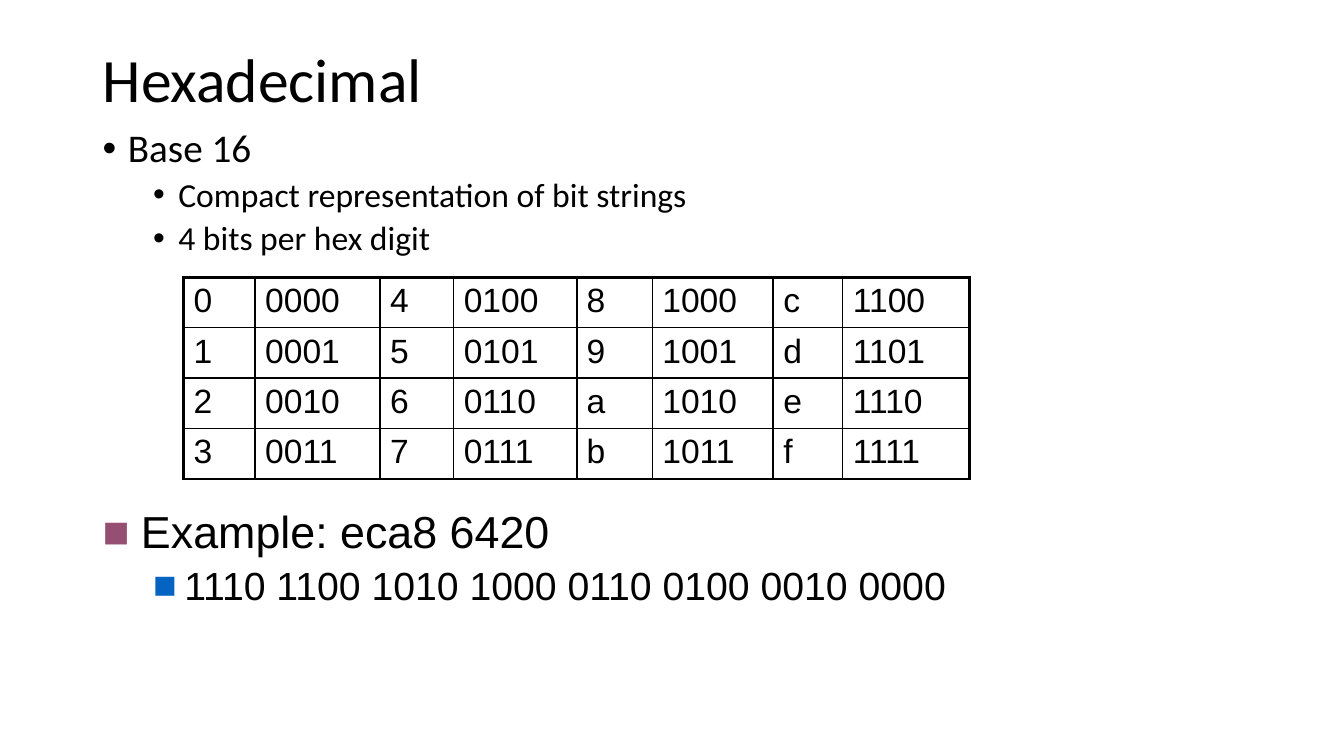
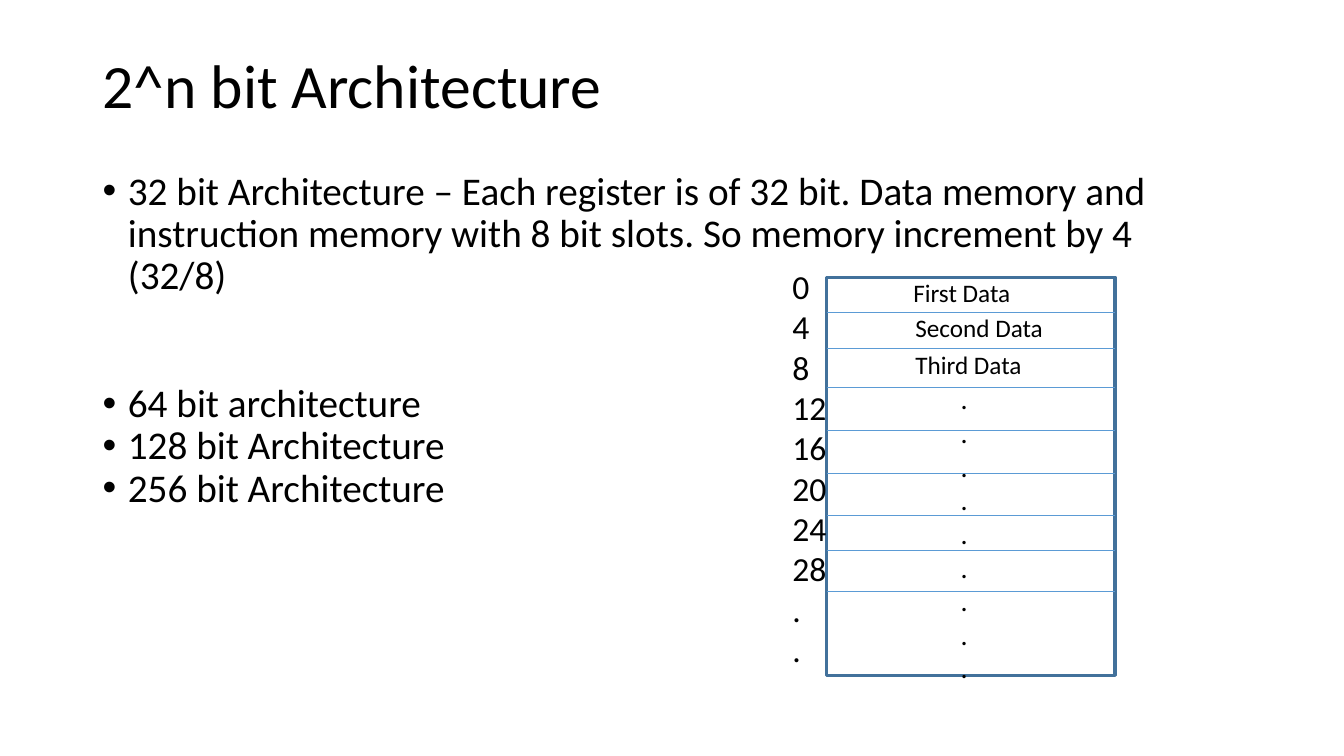
from lxml import etree
from pptx import Presentation
from pptx.dml.color import RGBColor
from pptx.enum.shapes import MSO_CONNECTOR as CONN, MSO_SHAPE as SHAPE
from pptx.enum.text import MSO_ANCHOR as ANCHOR
from pptx.oxml import parse_xml
from pptx.oxml.ns import nsdecls, qn
from pptx.util import Inches, Pt

BLACK = RGBColor(0x00, 0x00, 0x00)
PLUM = RGBColor(0x95, 0x4F, 0x72)
BLUE = RGBColor(0x05, 0x63, 0xC1)
FRAME = RGBColor(0x42, 0x71, 0x9B)
RULE = RGBColor(0x5B, 0x9B, 0xD5)

# Paragraph formats: bullet is (character, colour), indent is (left margin, hanging)
TITLE = dict(size=44, line_spacing=0.9)
BODY = dict(size=28, line_spacing=0.9, bullet=("•", BLACK), indent=(0.25, 0.25))
SUB = dict(BODY, size=24, space_before=5, level=1, indent=(0.75, 0.25))
EXAMPLE = dict(BODY, size=32, name="Arial", bullet=("■", PLUM), indent=(0.38, 0.38))
BITS = dict(BODY, name="Arial", space_before=5.6, level=1,
            bullet=("■", BLUE), indent=(0.81, 0.31))
CELL = dict(size=24, name="Arial")
ADDRESS = dict(size=24)
LABEL = dict(size=18)
DOT = dict(size=20)


def fill_text(tf, lines):
    """Write (text, format) pairs as paragraphs."""
    for i, (text, fmt) in enumerate(lines):
        p = tf.paragraphs[0] if i == 0 else tf.add_paragraph()
        p.level = fmt.get("level", 0)
        if "bullet" in fmt:
            char, color = fmt["bullet"]
            left, hanging = fmt["indent"]
            pPr = p._p.get_or_add_pPr()
            pPr.set("marL", str(Inches(left)))
            pPr.set("indent", str(-Inches(hanging)))
            for xml in (f'<a:buClr {nsdecls("a")}><a:srgbClr val="{color}"/></a:buClr>',
                        f'<a:buFont {nsdecls("a")} typeface="Arial"/>',
                        f'<a:buChar {nsdecls("a")} char="{char}"/>'):
                pPr.append(parse_xml(xml))
        if "line_spacing" in fmt:
            p.line_spacing = fmt["line_spacing"]
        if "space_before" in fmt:
            p.space_before = Pt(fmt["space_before"])
        r = p.add_run()
        r.text = text
        r.font.size = Pt(fmt["size"])
        r.font.name = fmt.get("name", "Calibri")
        r.font.color.rgb = BLACK


def add_text(s, box, lines, anchor=ANCHOR.TOP):
    tf = s.shapes.add_textbox(*map(Inches, box)).text_frame
    tf.word_wrap = True
    tf.vertical_anchor = anchor
    fill_text(tf, lines)


prs = Presentation()
prs.slide_width, prs.slide_height = Inches(13.33), Inches(7.5)
blank = prs.slide_layouts[6]

# Slides and their titles
slides = []
for title, height in (("Hexadecimal", 0.83), ("2^n bit Architecture", 0.95)):
    s = prs.slides.add_slide(blank)
    add_text(s, (0.92, 0.4, 11.5, height), [(title, TITLE)], ANCHOR.MIDDLE)
    slides.append(s)
hexadecimal, architecture = slides

# Hexadecimal: bullets
add_text(hexadecimal, (0.92, 1.23, 9.05, 1.73), [
    ("Base 16", BODY),
    ("Compact representation of bit strings", SUB),
    ("4 bits per hex digit", SUB),
])

# Hexadecimal: table of digits, counting down each pair of columns
widths = (0.71, 1.24, 0.73, 1.22, 0.75, 1.2, 0.69, 1.26)
ROWS, COLS, ROW_H = 4, len(widths), 0.47
table = hexadecimal.shapes.add_table(ROWS, COLS, Inches(1.82), Inches(2.75),
                                     Inches(sum(widths)), Inches(ROWS * ROW_H)).table
table.first_row = table.horz_banding = False
for col, width in zip(table.columns, widths):
    col.width = Inches(width)
row_edges = [2.25, 1, 1, 1, 2.25]
col_edges = [2.25, 1, 1.5, 1, 1.5, 1, 1.5, 1, 2.25]
for row in range(ROWS):
    table.rows[row].height = Inches(ROW_H)
    for col in range(COLS):
        value = col // 2 * ROWS + row
        cell = table.cell(row, col)
        fill_text(cell.text_frame, [(f"{value:04b}" if col % 2 else f"{value:x}", CELL)])
        tcPr = cell._tc.get_or_add_tcPr()
        borders = dict(lnL=col_edges[col], lnR=col_edges[col + 1],
                       lnT=row_edges[row], lnB=row_edges[row + 1])
        for tag, width in borders.items():
            ln = etree.SubElement(tcPr, qn(f"a:{tag}"), w=str(Pt(width)))
            solid = etree.SubElement(ln, qn("a:solidFill"))
            etree.SubElement(solid, qn("a:srgbClr"), val=str(BLACK))
        cell.fill.background()

# Hexadecimal: example
add_text(hexadecimal, (0.92, 5.01, 9.05, 1.26), [
    ("Example: eca8 6420", EXAMPLE),
    ("1110 1100 1010 1000 0110 0100 0010 0000", BITS),
])

# Architecture: bullets
add_text(architecture, (0.92, 1.65, 11.32, 4.32), [
    ("32 bit Architecture – Each register is of 32 bit. Data memory and instruction "
     "memory with 8 bit slots. So memory increment by 4 (32/8)", BODY),
    ("64 bit architecture", dict(BODY, space_before=61)),
    ("128 bit Architecture", BODY),
    ("256 bit Architecture", BODY),
])

# Architecture: memory block and its slots
LEFT, WIDTH = 8.2, 2.86
memory = architecture.shapes.add_shape(SHAPE.RECTANGLE, Inches(LEFT), Inches(2.75),
                                       Inches(WIDTH), Inches(3.95))
memory.shadow.inherit = False
memory.fill.background()
memory.line.color.rgb = FRAME
memory.line.width = Pt(2.25)
for y in (3.1, 3.46, 3.84, 4.27, 4.7, 5.11, 5.46, 5.87):
    rule = architecture.shapes.add_connector(CONN.STRAIGHT, Inches(LEFT), Inches(y),
                                             Inches(LEFT + WIDTH), Inches(y))
    rule.line.color.rgb = RULE
    rule.line.width = Pt(0.75)
    etree.SubElement(rule._element.spPr, qn("a:effectLst"))

# Architecture: addresses and slot contents
addresses = [str(n) for n in range(0, 32, 4)] + [".", "."]
add_text(architecture, (7.76, 2.59, 0.69, 4.54), [(a, ADDRESS) for a in addresses])
for text, x, y, width in (("First Data", 8.96, 2.7, 1.28),
                          ("Second Data", 8.98, 3.05, 1.59),
                          ("Third Data", 8.98, 3.42, 1.59)):
    add_text(architecture, (x, y, width, 0.4), [(text, LABEL)])
add_text(architecture, (9.43, 3.74, 0.94, 3.13), [(".", DOT)] * 9)

prs.save("out.pptx")
